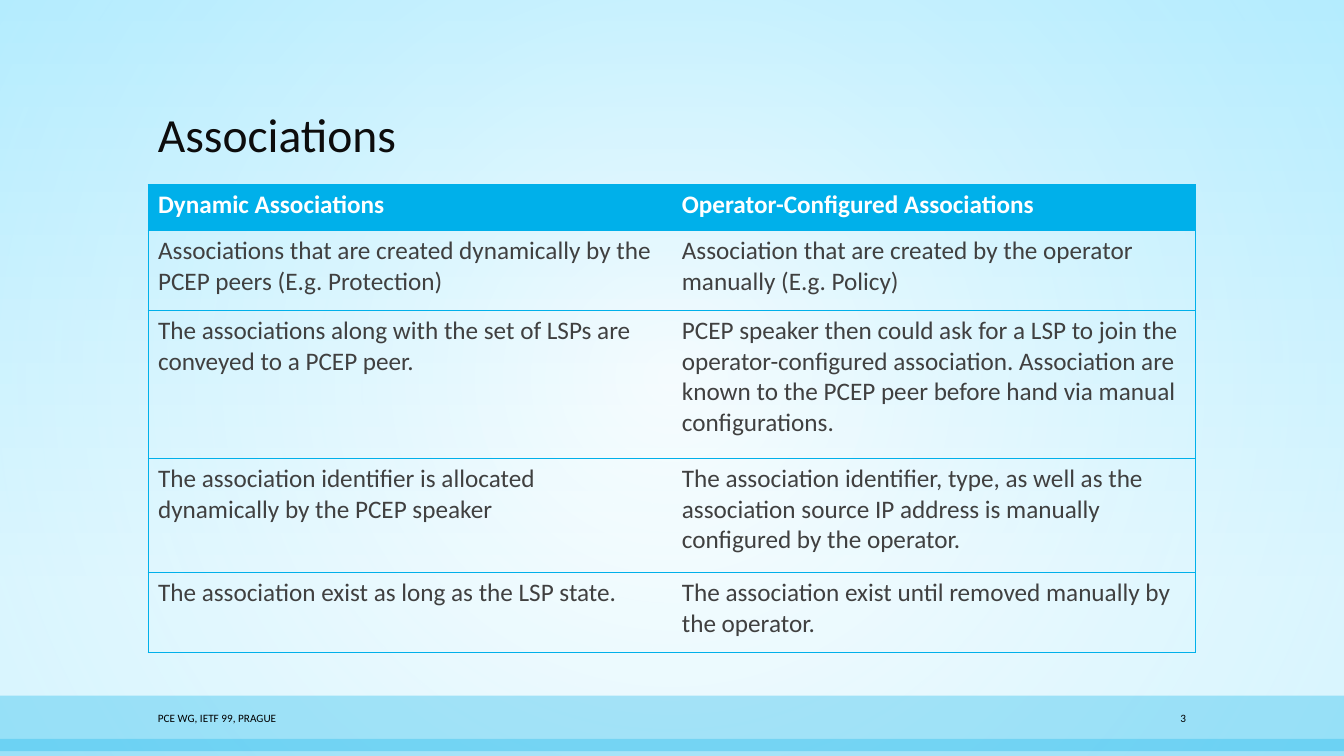
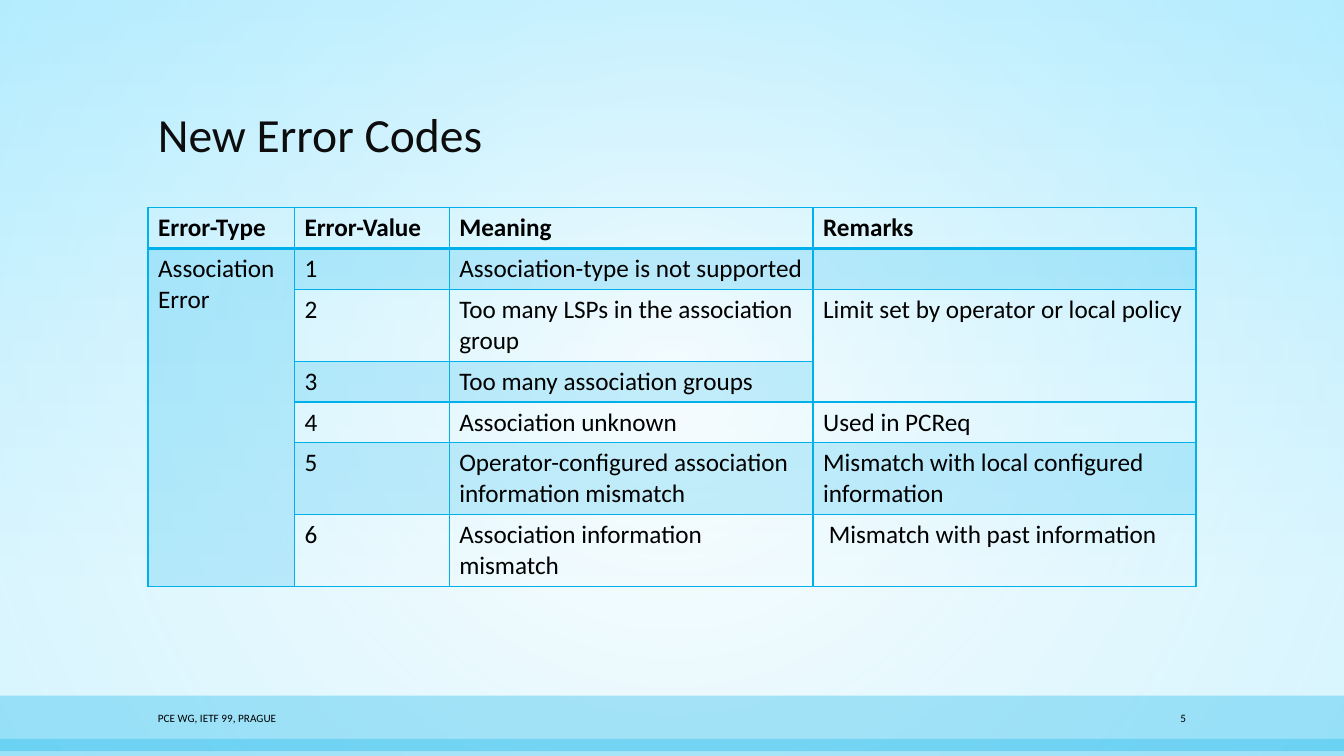
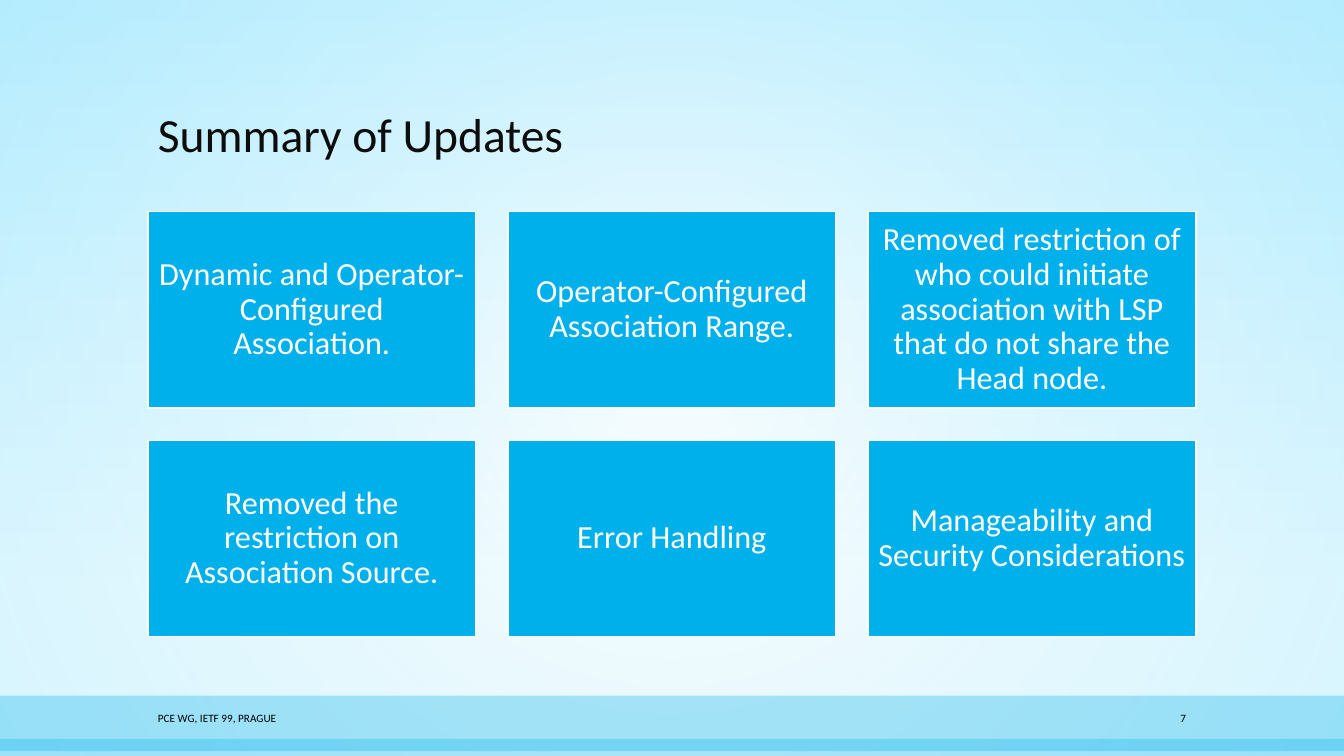
from collections import namedtuple

from pptx import Presentation
from pptx.dml.color import RGBColor
from pptx.enum.shapes import MSO_SHAPE as Preset
from pptx.enum.text import MSO_ANCHOR as Anchor, PP_ALIGN as Align
from pptx.oxml import parse_xml
from pptx.oxml.ns import nsdecls, qn
from pptx.util import Cm, Pt

Box = namedtuple("Box", "left top width height")

COLOURS = {
    "accent": "00B0EA",
    "sky": "C8F1FF",
    "glow": "91E4FF",
    "white": "FFFFFF",
    "title": "0D0D0D",
    "body": "404040",
    "black": "000000",
}
FONT = "Calibri"
PLAIN_TABLE = "{2D5ABB26-0587-4C30-8999-92F81FD0307C}"
FOOTER = "PCE WG, IETF 99, PRAGUE"

PAGE = Box(Cm(0), Cm(0), Cm(33.87), Cm(19.05))
TITLE = Box(Cm(3.73), Cm(1.22), Cm(26.41), Cm(3.02))
FOOTER_BAR = Box(Cm(3.73), Cm(17.77), Cm(26.41), Cm(0.66))
BANDS = [
    (Box(Cm(0), Cm(17.53), PAGE.width, Cm(1.4)), 30),
    (Box(Cm(0), Cm(18.62), PAGE.width, Cm(0.44)), 28),
]

ASSOCIATIONS = [
    ["Dynamic Associations", "Operator-Configured Associations"],
    ["Associations that are created dynamically by the PCEP peers (E.g. Protection)",
     "Association that are created by the operator manually (E.g. Policy)"],
    ["The associations along with the set of LSPs are conveyed to a PCEP peer.",
     "PCEP speaker then could ask for a LSP to join the operator-configured association. "
     "Association are known to the PCEP peer before hand via manual configurations."],
    ["The association identifier is allocated dynamically by the PCEP speaker",
     "The association identifier, type, as well as the association source IP address "
     "is manually configured by the operator."],
    ["The association exist as long as the LSP state.",
     "The association exist until removed manually by the operator."],
]
ERROR_CODES = [
    ["Error-Type", "Error-Value", "Meaning", "Remarks"],
    ["Association Error", "1", "Association-type is not supported", ""],
    ["", "2", "Too many LSPs in the association group", "Limit set by operator or local policy"],
    ["", "3", "Too many association groups", ""],
    ["", "4", "Association unknown", "Used in PCReq"],
    ["", "5", "Operator-configured association information mismatch",
     "Mismatch with local configured information"],
    ["", "6", "Association information mismatch", " Mismatch with past information"],
]
UPDATES = [
    "Dynamic and Operator-Configured Association.",
    "Operator-Configured Association Range.",
    "Removed restriction of who could initiate association with LSP "
    "that do not share the Head node.",
    "Removed the restriction on Association Source.",
    "Error Handling",
    "Manageability and Security Considerations",
]


def rgb(name):
    return RGBColor.from_string(COLOURS[name])


def colour_xml(name, alpha=100):
    return f'<a:srgbClr val="{COLOURS[name]}"><a:alpha val="{alpha * 1000}"/></a:srgbClr>'


def fill_gradient(owner, fill, stops, direction):
    fill.gradient()
    default = owner.element.find(".//" + qn("a:gradFill"))
    stop_xml = "".join(
        f'<a:gs pos="{position * 1000}">{colour_xml(name, alpha)}</a:gs>'
        for position, name, alpha in stops)
    default.getparent().replace(default, parse_xml(
        f'<a:gradFill {nsdecls("a")} rotWithShape="1"><a:gsLst>{stop_xml}</a:gsLst>'
        f'{direction}</a:gradFill>'))


def fill_solid(properties, fill, name, alpha=100):
    fill.solid()
    fill.fore_color.rgb = rgb(name)
    if alpha < 100:
        colour = properties.find(qn("a:solidFill") + "/" + qn("a:srgbClr"))
        colour.append(parse_xml(f'<a:alpha {nsdecls("a")} val="{alpha * 1000}"/>'))


def write(frame, text, size, colour, bold=False, align=Align.LEFT, spacing=None):
    paragraph = frame.paragraphs[0]
    paragraph.alignment = align
    if spacing:
        paragraph.line_spacing = spacing
    if text:
        run = paragraph.add_run()
        run.text = text
        run.font.name = FONT
        run.font.size = Pt(size)
        run.font.bold = bold
        run.font.color.rgb = rgb(colour)


def add_label(slide, box, text, size, colour, anchor, **style):
    frame = slide.shapes.add_textbox(*box).text_frame
    frame.word_wrap = True
    frame.vertical_anchor = anchor
    write(frame, text, size, colour, **style)


def add_rectangle(slide, box):
    rectangle = slide.shapes.add_shape(Preset.RECTANGLE, *box)
    rectangle.shadow.inherit = False
    rectangle.line.fill.background()
    return rectangle


def add_backdrop(slide):
    fill_gradient(slide, slide.background.fill,
                  [(0, "sky", 56), (79, "white", 100)],
                  '<a:lin ang="5400000" scaled="0"/>')
    glow = add_rectangle(slide, PAGE)
    fill_gradient(glow, glow.fill, [(0, "white", 49), (100, "glow", 35)],
                  '<a:path path="circle">'
                  '<a:fillToRect l="50000" t="50000" r="50000" b="50000"/></a:path>')
    for box, alpha in BANDS:
        band = add_rectangle(slide, box)
        fill_solid(band.element.spPr, band.fill, "accent", alpha)


def add_footer(slide, box, number):
    number_width = Cm(1.78)
    add_label(slide, box._replace(width=Cm(19.89)), FOOTER, 8, "black", Anchor.MIDDLE)
    number_box = box._replace(left=box.left + box.width - number_width, width=number_width)
    add_label(slide, number_box, number, 8, "black", Anchor.MIDDLE, align=Align.RIGHT)


def start_slide(deck, title, number):
    slide = deck.slides.add_slide(deck.slide_layouts[6])
    add_backdrop(slide)
    add_label(slide, TITLE, title, 34, "title", Anchor.BOTTOM, spacing=0.9)
    add_footer(slide, FOOTER_BAR, number)
    return slide


def add_plain_table(slide, box, widths, heights):
    frame = slide.shapes.add_table(len(heights), len(widths), *box)
    frame.element.find(".//" + qn("a:tableStyleId")).text = PLAIN_TABLE
    table = frame.table
    table.first_row = table.horz_banding = False
    for column, width in zip(table.columns, widths):
        column.width = Cm(width)
    for row, height in zip(table.rows, heights):
        row.height = Cm(height)
    return table


def set_borders(cell, **points):
    properties = cell._tc.get_or_add_tcPr()
    for side in "LRTB":
        if side in points:
            properties.append(parse_xml(
                f'<a:ln{side} {nsdecls("a")} w="{Pt(points[side])}">'
                f'<a:solidFill>{colour_xml("accent")}</a:solidFill></a:ln{side}>'))


def add_associations(slide, box):
    table = add_plain_table(slide, box, [13.2, 13.2], [1.16, 2.01, 3.73, 2.87, 2.01])
    for r, texts in enumerate(ASSOCIATIONS):
        for c, text in enumerate(texts):
            cell = table.cell(r, c)
            outer_side = "R" if c else "L"
            set_borders(cell, T=0.5, B=0.5, **{outer_side: 0.5})
            if r == 0:
                fill_solid(cell._tc.tcPr, cell.fill, "accent")
            else:
                cell.fill.background()
            write(cell.text_frame, text, 18, "body" if r else "white", bold=r == 0)


def add_error_codes(slide, box):
    single, double = 1.03, 1.81
    table = add_plain_table(slide, box, [3.69, 3.9, 9.17, 9.65],
                            [single, single, double, single, single, double, double])
    table.cell(1, 0).merge(table.cell(6, 0))
    table.cell(2, 3).merge(table.cell(3, 3))
    for r, texts in enumerate(ERROR_CODES):
        for c, text in enumerate(texts):
            cell = table.cell(r, c)
            set_borders(cell, L=1, R=1, T=2 if r == 1 else 1, B=1 if r else 2)
            if r % 2 and not cell.is_spanned:
                fill_solid(cell._tc.tcPr, cell.fill, "accent", 20)
            else:
                cell.fill.background()
            write(cell.text_frame, text, 18, "black", bold=r == 0)


def add_updates(slide, box):
    columns, width, height = 3, Cm(8.26), Cm(4.95)
    gap = (box.width - columns * width) // (columns - 1)
    for index, text in enumerate(UPDATES):
        row, column = divmod(index, columns)
        tile = add_rectangle(slide, Box(box.left + column * (width + gap),
                                        box.top + row * (height + gap), width, height))
        fill_solid(tile.element.spPr, tile.fill, "accent")
        tile.line.color.rgb = rgb("white")
        tile.line.width = Pt(1)
        frame = tile.text_frame
        frame.word_wrap = True
        frame.vertical_anchor = Anchor.MIDDLE
        frame.margin_left = frame.margin_right = Cm(0.25)
        frame.margin_top = frame.margin_bottom = Cm(0.25)
        write(frame, text, 23, "white", align=Align.CENTER, spacing=0.9)


def main():
    deck = Presentation()
    deck.slide_width, deck.slide_height = PAGE.width, PAGE.height
    pages = [
        ("Associations", "3", add_associations, Cm(4.65), Cm(11.78)),
        ("New Error Codes", "5", add_error_codes, Cm(5.23), Cm(9.55)),
        ("Summary of Updates", "7", add_updates, Cm(5.33), Cm(10.72)),
    ]
    for title, number, add_content, top, height in pages:
        slide = start_slide(deck, title, number)
        add_content(slide, Box(TITLE.left, top, TITLE.width, height))
    deck.save("out.pptx")


if __name__ == "__main__":
    main()
